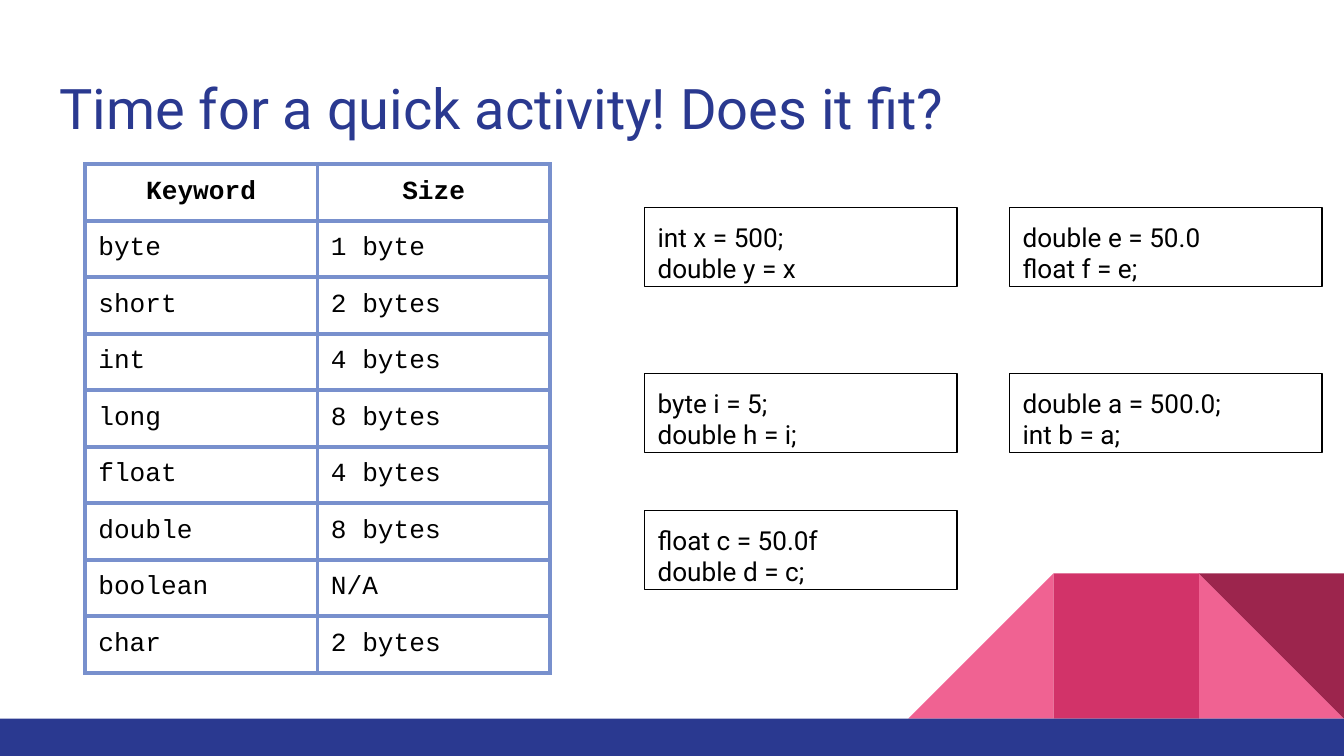
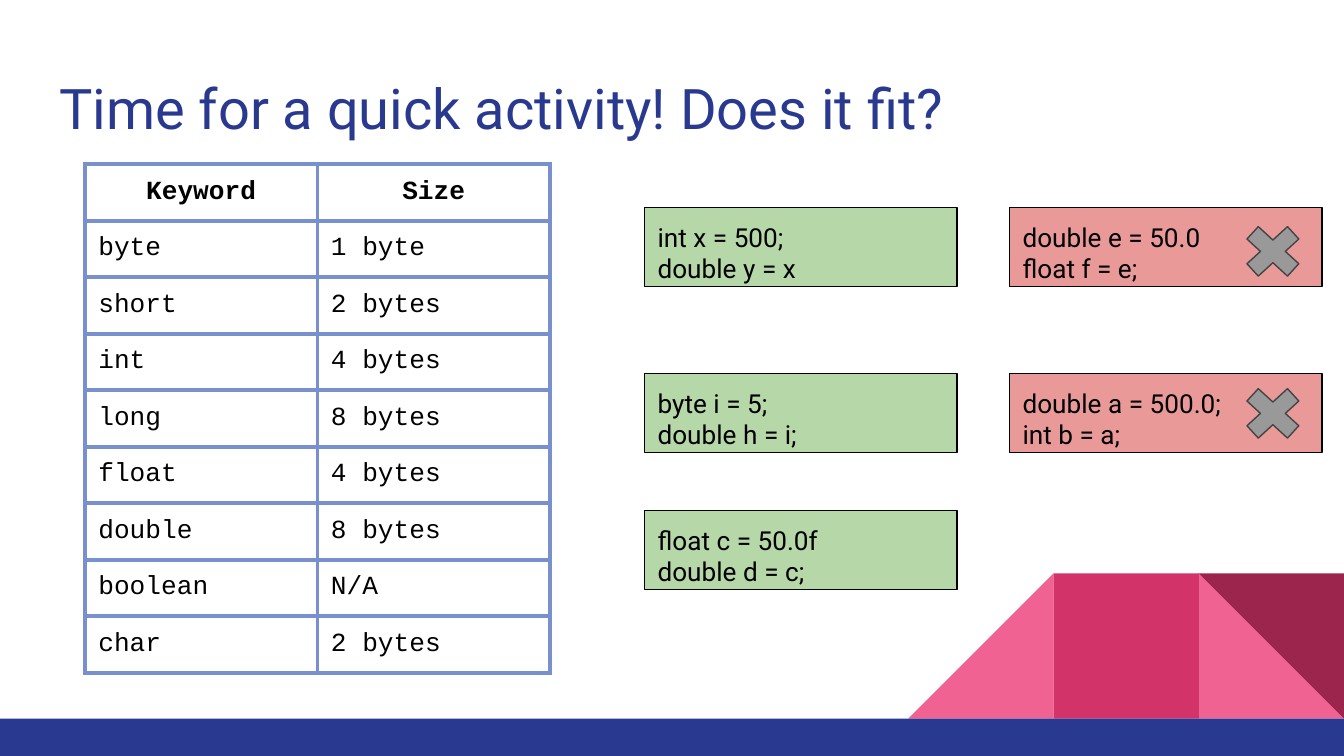
from lxml.etree import SubElement
from pptx import Presentation
from pptx.dml.color import RGBColor
from pptx.enum.shapes import MSO_SHAPE as Shape
from pptx.enum.text import MSO_ANCHOR as Anchor, MSO_AUTO_SIZE as AutoSize, PP_ALIGN as Align
from pptx.oxml.ns import qn
from pptx.util import Pt

# Shared look
WIDTH, HEIGHT = 720, 405
SANS, MONO = "Roboto", "Courier New"
NAVY, PINK, ROSE, WINE = "2A3990", "F06292", "D23369", "9C254D"
BLACK, GRID = "000000", "7890CD"
GREEN, RED, GREY, DARK_GREY = "B6D7A8", "EA9999", "999999", "434343"
INSET = Pt(7.2)

TITLE = "Time for a quick activity! Does it fit?"
SIZES = [
    ("Keyword", "Size"),
    ("byte", "1 byte"),
    ("short", "2 bytes"),
    ("int", "4 bytes"),
    ("long", "8 bytes"),
    ("float", "4 bytes"),
    ("double", "8 bytes"),
    ("boolean", "N/A"),
    ("char", "2 bytes"),
]

# Code snippets: column, row, lines, whether the value fits
SNIPPETS = [
    (0, 0, "int x = 500;\ndouble y = x", True),
    (1, 1, "double a = 500.0;\nint b = a;", False),
    (0, 2, "float c = 50.0f\ndouble d = c;", True),
    (1, 0, "double e = 50.0\nfloat f = e;", False),
    (0, 1, "byte i = 5;\ndouble h = i;", True),
]
SNIPPET_LEFTS = (0, 195.5)
SNIPPET_TOPS = (0, 89, 162.4)
CROSS_DROPS = (4.4, 2.2)


def color(code):
    return RGBColor.from_string(code)


def write(frame, text, *, font=SANS, size=14, ink=BLACK, bold=False, align=Align.LEFT):
    frame.word_wrap = True
    frame.text = text
    for para in frame.paragraphs:
        para.alignment = align
        for span in para.runs:
            span.font.name = font
            span.font.size = Pt(size)
            span.font.bold = bold
            span.font.color.rgb = color(ink)


def set_insets(frame):
    frame.margin_left = frame.margin_right = INSET
    frame.margin_top = frame.margin_bottom = INSET
    frame.vertical_anchor = Anchor.TOP
    frame.auto_size = AutoSize.NONE


def add_box(page, kind, left, top, width, height, fill=None, line=None, turn=0):
    box = page.shapes.add_shape(kind, Pt(left), Pt(top), Pt(width), Pt(height))
    box.shadow.inherit = False
    box.rotation = turn
    if fill:
        box.fill.solid()
        box.fill.fore_color.rgb = color(fill)
    else:
        box.fill.background()
    if line:
        box.line.color.rgb = color(line)
        box.line.width = Pt(0.75)
    else:
        box.line.fill.background()
    return box


# Corner blocks and bottom band
def add_decor(page, band_top=385, side=77.8):
    tiles = [
        (1, Shape.RIGHT_TRIANGLE, PINK, 0),
        (3, Shape.RIGHT_TRIANGLE, PINK, 270),
        (2, Shape.RECTANGLE, ROSE, 0),
        (1, Shape.RIGHT_TRIANGLE, WINE, 180),
    ]
    for steps, kind, fill, turn in tiles:
        add_box(page, kind, WIDTH - steps * side, band_top - side, side, side, fill, turn=turn)
    add_box(page, Shape.RECTANGLE, 0, band_top, WIDTH, HEIGHT - band_top, NAVY)


def add_title(page, left, top, width, height):
    title = page.shapes.title
    title.left, title.top, title.width, title.height = map(Pt, (left, top, width, height))
    set_insets(title.text_frame)
    write(title.text_frame, TITLE, size=30, ink=NAVY)


# Table of keyword sizes
def add_borders(cell):
    props = cell._tc.get_or_add_tcPr()
    for side in ("a:lnL", "a:lnR", "a:lnT", "a:lnB"):
        line = SubElement(props, qn(side), w=str(Pt(2.25)))
        fill = SubElement(line, qn("a:solidFill"))
        SubElement(fill, qn("a:srgbClr"), val=GRID)


def add_size_table(page, left, top, column_width, row_height):
    rows, columns = len(SIZES), len(SIZES[0])
    table = page.shapes.add_table(
        rows, columns, Pt(left), Pt(top), Pt(columns * column_width), Pt(rows * row_height)
    ).table
    table.first_row = table.horz_banding = False
    for r, words in enumerate(SIZES):
        header = r == 0
        for c, word in enumerate(words):
            cell = table.cell(r, c)
            cell.margin_left = cell.margin_right = INSET
            cell.margin_top = cell.margin_bottom = INSET
            add_borders(cell)
            cell.fill.background()
            write(cell.text_frame, word, font=MONO, bold=header,
                  align=Align.CENTER if header else Align.LEFT)


# Snippets, coloured and crossed once the answers show
def add_snippets(page, left, top, width, height, answers):
    crosses = []
    for column, row, code, fits in SNIPPETS:
        x, y = left + SNIPPET_LEFTS[column], top + SNIPPET_TOPS[row]
        fill = (GREEN if fits else RED) if answers else None
        box = add_box(page, Shape.RECTANGLE, x, y, width, height, fill, BLACK)
        set_insets(box.text_frame)
        write(box.text_frame, code)
        if answers and not fits:
            crosses.append((x + 120.3, y + CROSS_DROPS[row]))
    for x, y in crosses:
        cross = add_box(page, Shape.MATH_MULTIPLY, x, y, 41.8, 38.2, GREY, DARK_GREY)
        cross.adjustments[0] = 0.235


def add_activity(deck, answers):
    page = deck.slides.add_slide(deck.slide_layouts[5])
    add_decor(page)
    add_title(page, 24.5, 32.4, 671, 47.5)
    add_size_table(page, 45.5, 88, 124.6, 24.6)
    add_snippets(page, 345.2, 111.2, 167.5, 42.3, answers)


def main():
    deck = Presentation()
    deck.slide_width, deck.slide_height = Pt(WIDTH), Pt(HEIGHT)
    for answers in (False, True):
        add_activity(deck, answers)
    deck.save("out.pptx")


if __name__ == "__main__":
    main()
